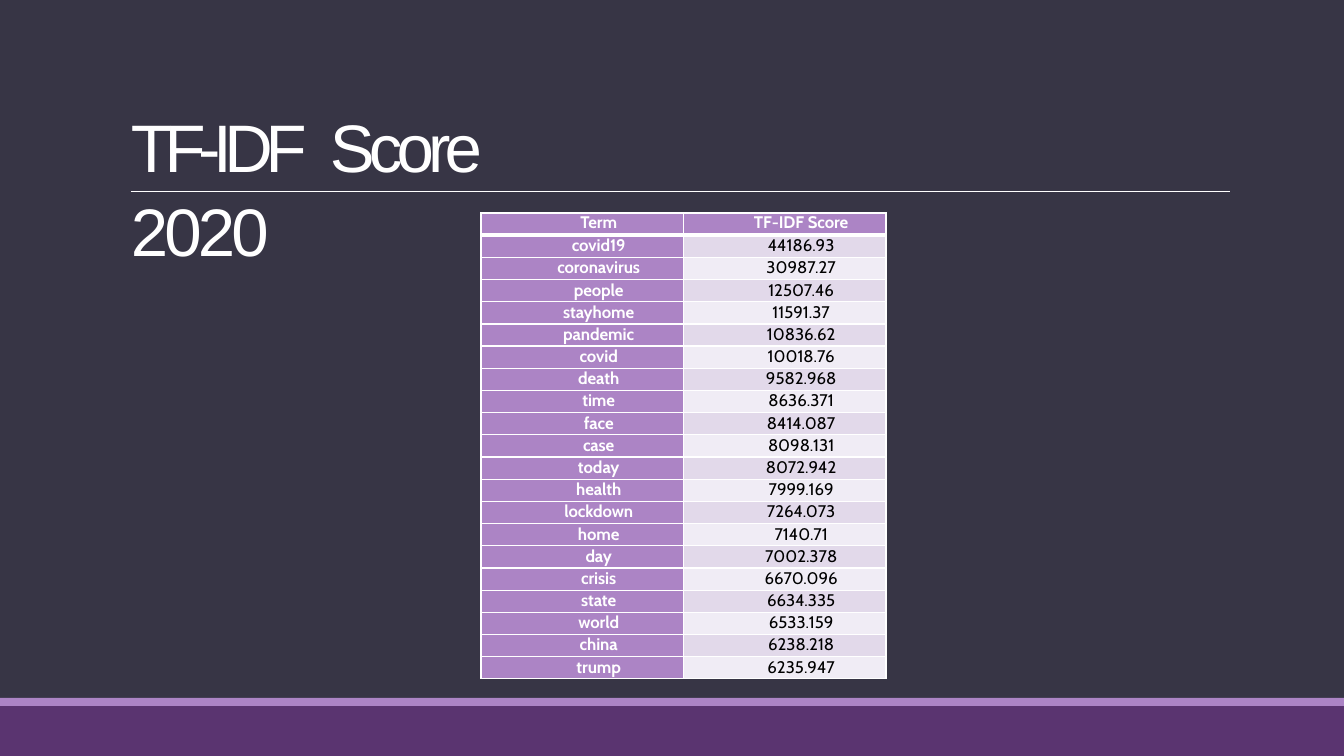
from lxml.etree import SubElement
from pptx import Presentation
from pptx.dml.color import RGBColor
from pptx.enum.shapes import MSO_CONNECTOR, MSO_SHAPE
from pptx.enum.text import MSO_ANCHOR, MSO_AUTO_SIZE, PP_ALIGN
from pptx.oxml.ns import qn
from pptx.util import Emu, Pt

WHITE, BLACK, LILAC = "FFFFFF", "000000", "AC84C5"
BANDS = ["E2D9EA", "F0ECF5"]
BACKDROP = [("373545", 0, 698), ("5A3470", 706, 50), (LILAC, 698, 8)]
TITLE = [("TF-IDF\t", -530), ("Score ", -420), ("2020", -280)]
SCORES = [
    ("Term", "TF-IDF Score"),
    ("covid19", "44186.93"),
    ("coronavirus", "30987.27"),
    ("people", "12507.46"),
    ("stayhome", "11591.37"),
    ("pandemic", "10836.62"),
    ("covid", "10018.76"),
    ("death", "9582.968"),
    ("time", "8636.371"),
    ("face", "8414.087"),
    ("case", "8098.131"),
    ("today", "8072.942"),
    ("health", "7999.169"),
    ("lockdown", "7264.073"),
    ("home", "7140.71"),
    ("day", "7002.378"),
    ("crisis", "6670.096"),
    ("state", "6634.335"),
    ("world", "6533.159"),
    ("china", "6238.218"),
    ("trump", "6235.947"),
]
SLIDE_WIDTH, SLIDE_HEIGHT = 1344, 756
TABLE_LEFT, TABLE_TOP, TABLE_WIDTH, TABLE_HEIGHT = 481, 213, 405, 466
CELL_INDENT = 33


def px(length):
    return Emu(round(length * 12192000 / SLIDE_WIDTH))


def color(code):
    return RGBColor.from_string(code)


def apply(target, values):
    for name, value in values.items():
        setattr(target, name, value)


def add_span(para, text, font, code, spacing):
    span = para.add_run()
    span.text = text
    apply(span.font, font)
    span.font.color.rgb = color(code)
    span.font._element.set("spc", str(spacing))


def add_band(page, code, top, height):
    band = page.shapes.add_shape(
        MSO_SHAPE.RECTANGLE, 0, px(top), px(SLIDE_WIDTH), px(height))
    band.shadow.inherit = False
    band.fill.solid()
    band.fill.fore_color.rgb = color(code)
    band.line.fill.background()


def add_rule(page):
    rule = page.shapes.add_connector(
        MSO_CONNECTOR.STRAIGHT, px(131), px(191), px(1230), px(191))
    rule.line.color.rgb = color(WHITE)
    rule.line.width = Pt(0.5)
    SubElement(rule.element.spPr, qn("a:effectLst"))


def format_title(page):
    title = page.shapes.title
    page.shapes.element.append(title.element)
    apply(title, {"left": px(130), "top": px(100), "width": px(494), "height": px(84)})
    apply(title.text_frame, {
        "margin_left": 0, "margin_right": 0, "margin_top": px(1), "margin_bottom": 0,
        "word_wrap": True, "auto_size": MSO_AUTO_SIZE.NONE,
        "vertical_anchor": MSO_ANCHOR.TOP})
    para = title.text_frame.paragraphs[0]
    apply(para, {"alignment": PP_ALIGN.LEFT, "line_spacing": 1.05, "space_before": Pt(1)})
    properties = para._p.get_or_add_pPr()
    properties.set("marL", str(px(1)))
    tabs = SubElement(properties, qn("a:tabLst"))
    SubElement(tabs, qn("a:tab"), pos=str(px(199)), algn="l")
    for text, spacing in TITLE:
        add_span(para, text, {"name": "Arial", "size": Pt(48)}, WHITE, spacing)


def add_borders(cell, widths):
    properties = cell._tc.get_or_add_tcPr()
    for side, width in widths.items():
        line = SubElement(properties, qn(f"a:ln{side}"), w=str(Pt(width)))
        fill = SubElement(line, qn("a:solidFill"))
        SubElement(fill, qn("a:srgbClr"), val=WHITE)


def format_cell(cell, text, row, column):
    header = row == 0
    strong = header or column == 0
    add_borders(cell, {"L": 1, "R": 1, "T": 3 if row == 1 else 1, "B": 3 if header else 1})
    cell.fill.solid()
    cell.fill.fore_color.rgb = color(LILAC if strong else BANDS[(row - 1) % 2])
    apply(cell, {"margin_left": 0, "margin_right": 0, "margin_bottom": 0,
                 "margin_top": 0 if header else px(1)})
    para = cell.text_frame.paragraphs[0]
    apply(para, {"alignment": PP_ALIGN.CENTER,
                 "line_spacing": Pt(13.9 if header else 14.1),
                 "space_before": Pt(0 if header else 0.8)})
    para._p.get_or_add_pPr().set("marL", str(px(CELL_INDENT)))
    font = {"name": "Cabin", "size": Pt(12), "bold": strong}
    add_span(para, text, font, WHITE if strong else BLACK, -5 if strong else 0)


def add_scores(page):
    frame = page.shapes.add_table(
        len(SCORES), len(SCORES[0]),
        px(TABLE_LEFT), px(TABLE_TOP), px(TABLE_WIDTH), px(TABLE_HEIGHT))
    frame.table.horz_banding = False
    for row, values in enumerate(SCORES):
        frame.table.rows[row].height = px(TABLE_HEIGHT / len(SCORES))
        for column, text in enumerate(values):
            format_cell(frame.table.cell(row, column), text, row, column)


def main():
    deck = Presentation()
    apply(deck, {"slide_width": px(SLIDE_WIDTH), "slide_height": px(SLIDE_HEIGHT)})
    page = deck.slides.add_slide(deck.slide_layouts[5])
    for code, top, height in BACKDROP:
        add_band(page, code, top, height)
    add_rule(page)
    format_title(page)
    add_scores(page)
    deck.save("out.pptx")


if __name__ == "__main__":
    main()
